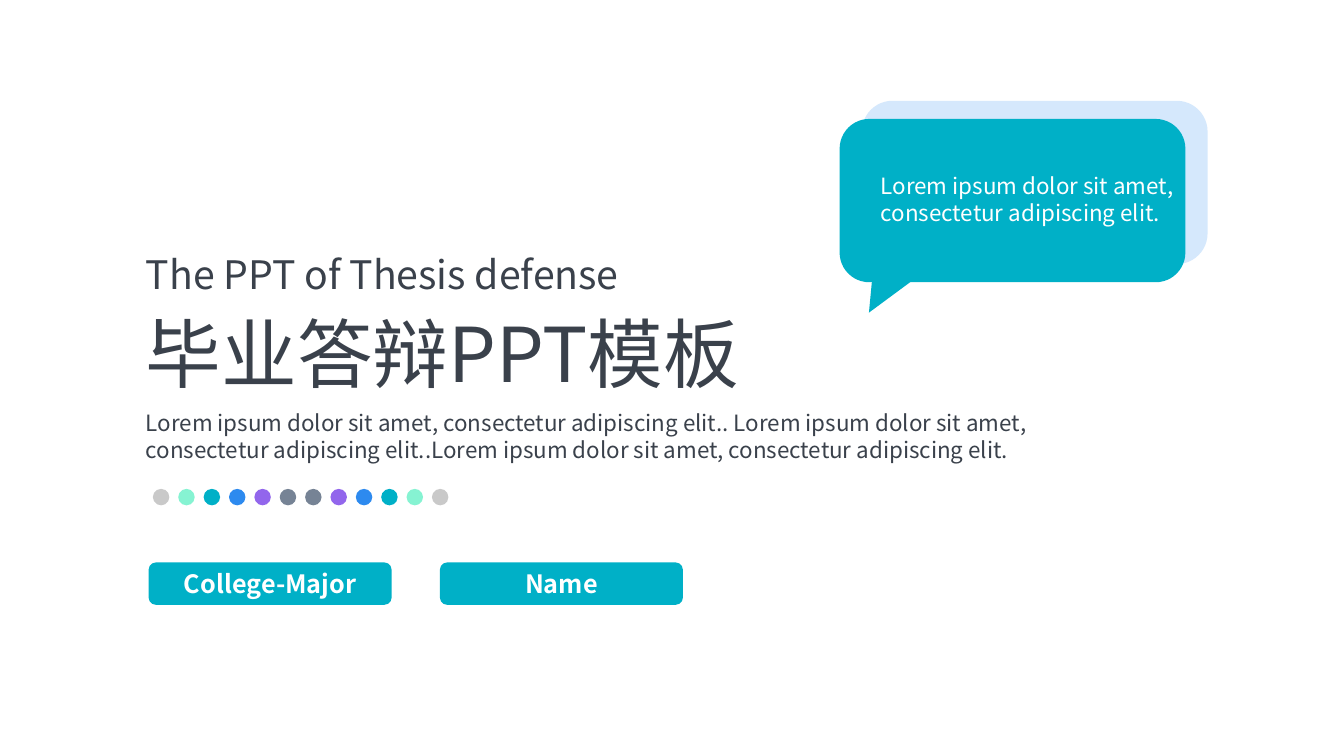
from lxml import etree
from pptx import Presentation
from pptx.dml.color import RGBColor
from pptx.enum.shapes import MSO_SHAPE
from pptx.enum.text import MSO_ANCHOR, PP_ALIGN
from pptx.oxml.ns import qn
from pptx.util import Inches, Pt

ROUND = MSO_SHAPE.ROUNDED_RECTANGLE
OVAL = MSO_SHAPE.OVAL
TAIL = MSO_SHAPE.ISOSCELES_TRIANGLE
MIDDLE = MSO_ANCHOR.MIDDLE
CENTER = PP_ALIGN.CENTER
FONT = "Noto Sans CJK SC"
COLORS = {
    "ink": "3A414B", "white": "FFFFFF", "teal": "00B0C7", "pale": "D5E8FC",
    "gray": "C9C9C9", "mint": "86F3D2", "blue": "2D8AEF",
    "violet": "9266EC", "slate": "768395",
}

deck = Presentation()
deck.slide_width = Inches(13.33)
deck.slide_height = Inches(7.5)
slide = deck.slides.add_slide(deck.slide_layouts[6])

# Grid of 160 columns by 90 rows
COL = deck.slide_width / 160
ROW = deck.slide_height / 90


def add_form(kind, x, y, w, h, color, round_by=None):
    form = slide.shapes.add_shape(
        kind, int(x * COL), int(y * ROW), int(w * COL), int(h * ROW))
    form.shadow.inherit = False
    form.fill.solid()
    form.fill.fore_color.rgb = RGBColor.from_string(COLORS[color])
    form.line.fill.background()
    if round_by is not None:
        form.adjustments[0] = round_by
    return form


def set_text(shape, text, size, color, bold=False):
    frame = shape.text_frame
    frame.word_wrap = True
    frame.text = text
    for run in frame.paragraphs[0].runs:
        run.font.name = FONT
        run.font.size = Pt(size)
        run.font.bold = bold
        run.font.color.rgb = RGBColor.from_string(COLORS[color])
        east = etree.SubElement(run.font._element, qn("a:ea"))
        east.set("typeface", FONT)


# Speech bubbles, back one first
for x, y, color, curve in [(102.6, 12, "pale", 0.188), (99.96, 14.16, "teal", 0.182)]:
    add_form(ROUND, x, y, 41.16, 19.44, color, curve)
    tail = add_form(TAIL, x + 1.68, y + 14.64, 8.04, 9, color)
    tail.rotation = 209.5

# Title block and bubble words
LOREM = "Lorem ipsum dolor sit amet, consectetur adipiscing elit."
texts = [
    ("毕业答辩PPT模板", 16.2, 36, 80.88, 12.12, 54, "ink"),
    ("The PPT of Thesis defense", 16.2, 29.16, 65.64, 6.84, 28, "ink"),
    (f"{LOREM}. {LOREM}.{LOREM}", 16.2, 48.12, 118.68, 7.68, 16, "ink"),
    (LOREM, 103.68, 19.92, 40.08, 7.68, 16, "white"),
]
for text, x, y, w, h, size, color in texts:
    box = slide.shapes.add_textbox(
        int(x * COL), int(y * ROW), int(w * COL), int(h * ROW))
    set_text(box, text, size, color)

# Row of dots, mirrored about its middle
half = ["gray", "mint", "teal", "blue", "violet", "slate"]
for i, color in enumerate(half + half[::-1]):
    add_form(OVAL, 18.2 + i * 3.02, 58.2, 1.96, 1.96, color)

# Label pills
for i, label in enumerate(["College-Major", "Name"]):
    pill = add_form(ROUND, 17.7 + i * 34.68, 66.96, 28.92, 5.04, "teal", 0.167)
    set_text(pill, label, 18, "white", bold=True)
    pill.text_frame.vertical_anchor = MIDDLE
    pill.text_frame.paragraphs[0].alignment = CENTER

deck.save("out.pptx")
